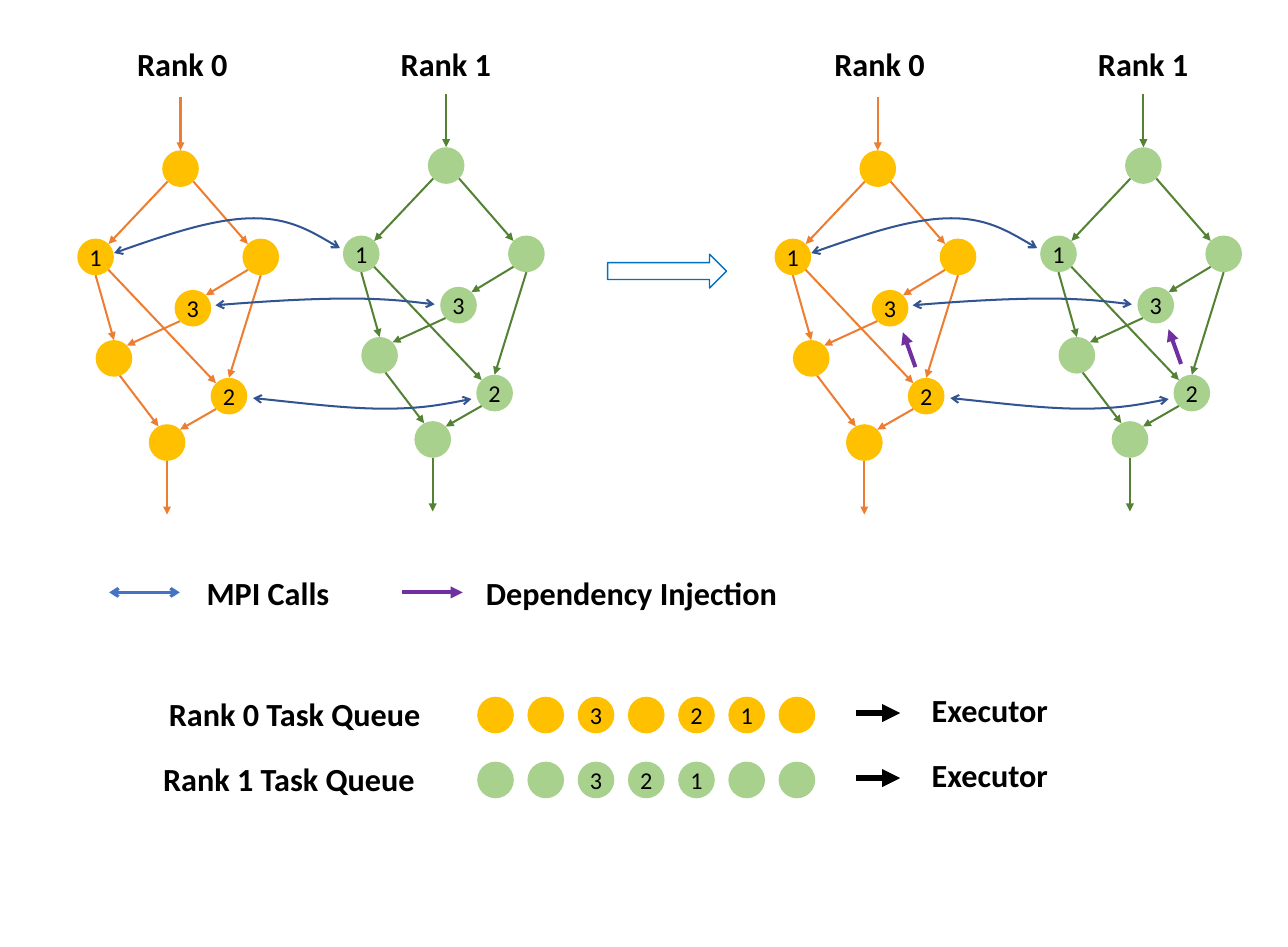
import math
from dataclasses import dataclass

import lxml.etree
import pptx
import pptx.dml.color
import pptx.enum.shapes
import pptx.enum.text
import pptx.oxml.ns
import pptx.util

Pt = pptx.util.Pt
qn = pptx.oxml.ns.qn
SHAPES = pptx.enum.shapes.MSO_SHAPE


@dataclass(frozen=True)
class Theme:
    font: str = "Calibri"
    heading_size: int = 24
    number_size: int = 18
    ink: str = "000000"
    ranks: tuple = (("FFC000", "ED7D31"), ("A9D18E", "548235"))
    call: str = "325491"
    call_key: str = "4472C4"
    injection: str = "7030A0"
    step: str = "0070C0"
    edge_width: float = 1.5
    call_key_width: float = 2.25
    injection_width: float = 3
    executor_width: float = 4.5


THEME = Theme()
NODE = 27.3
STUB = 40
TASKS = {
    "entry": (63.3, 40, ""),
    "left": (0, 105.8, "1"),
    "right": (123.1, 105.8, ""),
    "inner": (72.5, 144, "3"),
    "lower": (13.7, 181.4, ""),
    "second": (99.4, 209.5, "2"),
    "exit": (53.3, 244.1, ""),
}
EDGES = [
    ("entry", 135, "left", 315),
    ("entry", 45, "right", 225),
    ("left", 45, "second", 225),
    ("right", 90, "second", 270),
    ("left", 90, "lower", 270),
    ("right", 135, "inner", 315),
    ("inner", 135, "lower", 315),
    ("lower", 71, "exit", 242),
    ("second", 135, "exit", 315),
]
CALLS = [
    [(27.4, 159.1), (64.1, 146.2), (100.8, 133.9), (128.9, 133.2),
     (157, 132.5), (176.4, 144), (195.8, 155.5)],
    [(131, 267.1), (166.3, 270.7), (201.6, 275), (229, 275),
     (256.3, 275), (275, 271.4), (293.8, 267.8)],
    [(103, 198), (138.2, 195.1), (174.2, 193), (201.6, 193),
     (229, 193), (247.7, 195.1), (266.4, 197.3)],
]


def color(value):
    return pptx.dml.color.RGBColor.from_string(value)


def style_font(paragraph, size, bold=False):
    paragraph.font.name = THEME.font
    paragraph.font.size = Pt(size)
    paragraph.font.bold = bold
    paragraph.font.color.rgb = color(THEME.ink)


def style_line(shape, line_color, width, head=None, tail=None):
    shape.line.color.rgb = color(line_color)
    shape.line.width = Pt(width)
    line = shape.element.spPr.find(qn("a:ln"))
    for tag, kind in (("a:headEnd", head), ("a:tailEnd", tail)):
        if kind:
            lxml.etree.SubElement(line, qn(tag)).set("type", kind)


def add_line(slide, start, end, line_color, width, head=None, tail="triangle"):
    connector = slide.shapes.add_connector(
        pptx.enum.shapes.MSO_CONNECTOR.STRAIGHT, *map(Pt, (*start, *end)))
    style_line(connector, line_color, width, head, tail)
    lxml.etree.SubElement(connector.element.spPr, qn("a:effectLst"))


def add_curve(slide, left, top, points):
    places = [(Pt(left + x), Pt(top + y)) for x, y in points]
    builder = slide.shapes.build_freeform(*places[0])
    builder.add_line_segments(places[1:], close=False)
    shape = builder.convert_to_shape()
    shape.shadow.inherit = False
    shape.fill.background()
    style_line(shape, THEME.call, THEME.edge_width, "arrow", "arrow")
    outline = shape.element.spPr.find(".//" + qn("a:path"))
    segments = outline.findall(qn("a:lnTo"))
    for first in range(0, len(segments), 3):
        bezier = lxml.etree.SubElement(outline, qn("a:cubicBezTo"))
        for segment in segments[first:first + 3]:
            bezier.append(segment[0])
            outline.remove(segment)


def add_heading(slide, left, top, width, text):
    shape = slide.shapes.add_textbox(Pt(left), Pt(top), Pt(width), Pt(36))
    shape.text_frame.word_wrap = False
    shape.text_frame.auto_size = pptx.enum.text.MSO_AUTO_SIZE.SHAPE_TO_FIT_TEXT
    paragraph = shape.text_frame.paragraphs[0]
    paragraph.text = text
    style_font(paragraph, THEME.heading_size, True)


def add_task(slide, left, top, fill, number):
    shape = slide.shapes.add_shape(SHAPES.OVAL, Pt(left), Pt(top), Pt(NODE), Pt(NODE))
    shape.shadow.inherit = False
    shape.fill.solid()
    shape.fill.fore_color.rgb = color(fill)
    shape.line.fill.background()
    if number:
        frame = shape.text_frame
        frame.margin_left = frame.margin_right = frame.margin_top = frame.margin_bottom = 0
        frame.word_wrap = False
        frame.vertical_anchor = pptx.enum.text.MSO_ANCHOR.MIDDLE
        paragraph = frame.paragraphs[0]
        paragraph.text = number
        paragraph.alignment = pptx.enum.text.PP_ALIGN.CENTER
        style_font(paragraph, THEME.number_size)


def add_rank_graph(slide, left, top, rank, injected):
    fill, edge_color = THEME.ranks[rank]

    def rim(task, angle):
        x, y, _ = TASKS[task]
        radius = NODE / 2
        return (left + x + radius * (1 + math.cos(math.radians(angle))),
                top + y + radius * (1 + math.sin(math.radians(angle))))

    for x, y, number in TASKS.values():
        add_task(slide, left + x, top + y, fill, number)
    lines = [(rim(source, out), rim(target, into)) for source, out, target, into in EDGES]
    entry_x, entry_y = rim("entry", 270)
    exit_x, exit_y = rim("exit", 90)
    lines.append(((entry_x, entry_y - STUB), (entry_x, entry_y)))
    lines.append(((exit_x, exit_y), (exit_x, exit_y + STUB)))
    for start, end in lines:
        add_line(slide, start, end, edge_color, THEME.edge_width)
    if injected:
        add_line(slide, (left + 105, top + 201.5), (left + 95.7, top + 175.6),
                 THEME.injection, THEME.injection_width)


def add_panel(slide, left, top, injected):
    for rank, (x, y, heading_x) in enumerate(((0, 42.5, 37.5), (198, 40.2, 234))):
        add_rank_graph(slide, left + x, top + y, rank, injected)
        add_heading(slide, left + heading_x, top, 82.8, f"Rank {rank}")
    for points in CALLS:
        add_curve(slide, left, top, points)


def add_step_arrow(slide, left, top):
    shape = slide.shapes.add_shape(SHAPES.RIGHT_ARROW, Pt(left), Pt(top), Pt(88.6), Pt(25.2))
    shape.shadow.inherit = False
    shape.fill.background()
    style_line(shape, THEME.step, 1)


def add_legend(slide, left, top):
    middle = top + 17.5
    add_line(slide, (left, middle), (left + 52.6, middle),
             THEME.call_key, THEME.call_key_width, "arrow", "arrow")
    add_heading(slide, left + 65.5, top, 107.3, "MPI Calls")
    add_line(slide, (left + 218.2, middle), (left + 263.5, middle),
             THEME.injection, THEME.injection_width)
    add_heading(slide, left + 273.6, top, 234, "Dependency Injection")


def add_queue(slide, left, top, rank, numbers):
    add_heading(slide, left, top - 5, 203.8, f"Rank {rank} Task Queue")
    for index, number in enumerate(numbers):
        add_task(slide, 355.7 + 37.44 * index, top, THEME.ranks[rank][0], number)
    add_line(slide, (638, top + 12.2), (671, top + 12.2), THEME.ink, THEME.executor_width)
    add_heading(slide, 687.3, top - 8, 102.2, "Executor")


def main():
    presentation = pptx.Presentation()
    presentation.slide_width = Pt(960)
    presentation.slide_height = Pt(705.6)
    slide = presentation.slides.add_slide(presentation.slide_layouts[6])
    add_panel(slide, 57.6, 29.5, False)
    add_panel(slide, 577.3, 29.5, True)
    add_step_arrow(slide, 452.9, 189.4)
    add_legend(slide, 81.4, 423.9)
    add_queue(slide, 118.8, 519.1, 0, ["", "", "3", "", "2", "1", ""])
    add_queue(slide, 114.5, 567.5, 1, ["", "", "3", "2", "1", "", ""])
    presentation.save("out.pptx")


if __name__ == "__main__":
    main()
